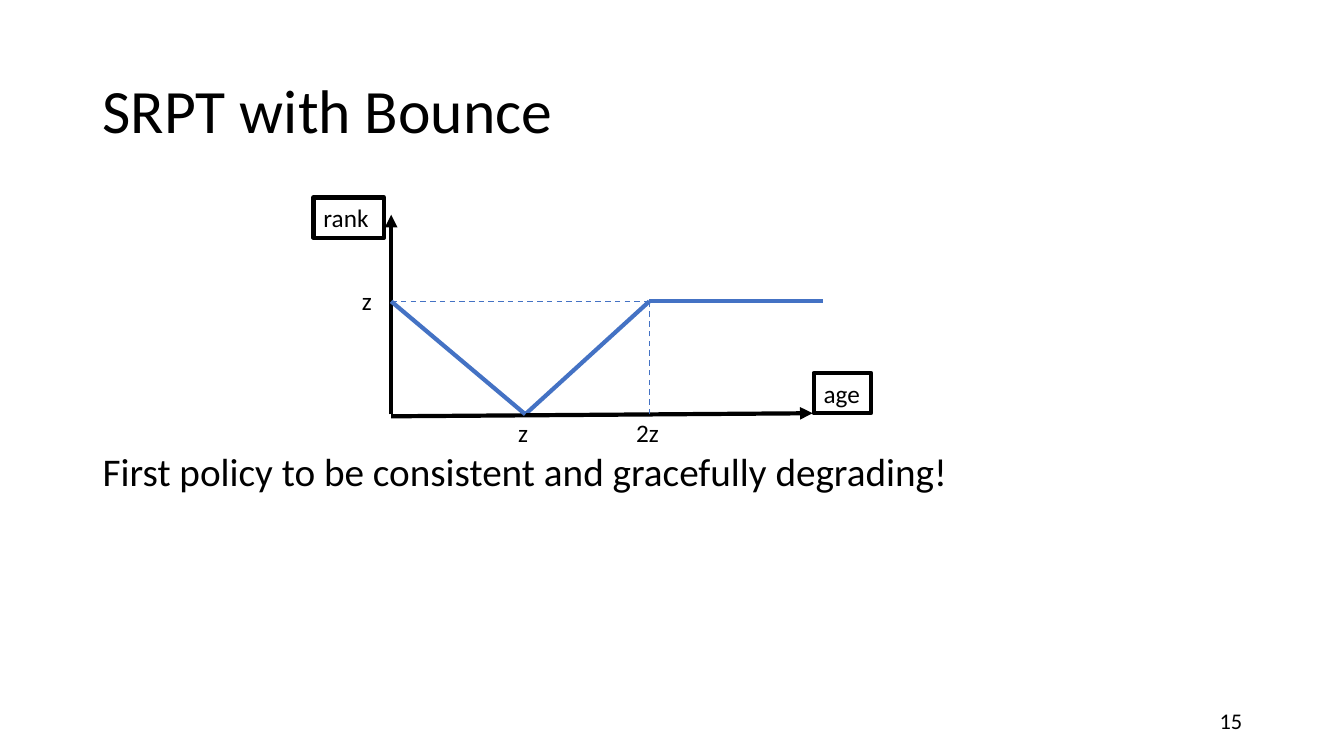
from dataclasses import dataclass

from lxml.etree import SubElement
from pptx import Presentation
from pptx.dml.color import RGBColor
from pptx.enum.dml import MSO_LINE
from pptx.enum.shapes import MSO_CONNECTOR, MSO_SHAPE
from pptx.enum.text import MSO_ANCHOR, PP_ALIGN
from pptx.oxml.ns import qn
from pptx.slide import Slide
from pptx.util import Inches, Pt

COLOURS = {"ink": "000000", "curve": "4472C4"}
FONT = "Calibri"

# Chart positions in inches
AXIS_X = 3.88
BASE_Y = 4.11
RANK_Z_Y = 2.99
AGE_Z_X = 5.21
AGE_2Z_X = 6.44


@dataclass
class Segment:
    start: tuple[float, float]
    end: tuple[float, float]
    colour: str = "curve"
    width: float = 3
    dashed: bool = False
    arrow: bool = False


@dataclass
class Label:
    text: str
    left: float
    top: float
    width: float
    height: float = 0.4
    framed: bool = False


SEGMENTS = [
    Segment((AGE_2Z_X, RANK_Z_Y), (AGE_Z_X, BASE_Y)),
    Segment((AXIS_X, 4.13), (8.06, 4.1), "ink", arrow=True),
    Segment((AXIS_X, BASE_Y), (AXIS_X, 2.13), "ink", arrow=True),
    Segment((AXIS_X, RANK_Z_Y), (AGE_Z_X, BASE_Y)),
    Segment((AXIS_X, RANK_Z_Y), (AGE_2Z_X, RANK_Z_Y), width=1, dashed=True),
    Segment((AGE_2Z_X, BASE_Y), (AGE_2Z_X, RANK_Z_Y), width=1, dashed=True),
    Segment((8.16, RANK_Z_Y), (AGE_2Z_X, RANK_Z_Y)),
]

LABELS = [
    Label("z", 3.49, 2.78, 0.33),
    Label("z", 5.04, 4.09, 0.33),
    Label("2z", 6.21, 4.09, 0.51),
    Label("rank", 3.11, 1.96, 0.7, framed=True),
    Label("age", 8.07, 3.7, 0.57, framed=True),
]


def colour_of(name: str) -> RGBColor:
    return RGBColor.from_string(COLOURS[name])


def add_text(page: Slide, text: str, left: float, top: float, width: float,
             height: float, *, size: float = 18, framed: bool = False,
             anchor: MSO_ANCHOR = MSO_ANCHOR.TOP,
             align: PP_ALIGN = PP_ALIGN.LEFT, spacing: float = 1.0) -> None:
    """Add one paragraph, in an outlined rectangle when framed."""
    area = [Inches(value) for value in (left, top, width, height)]
    if framed:
        box = page.shapes.add_shape(MSO_SHAPE.RECTANGLE, *area)
        box.shadow.inherit = False
        box.fill.background()
        box.line.color.rgb = colour_of("ink")
        box.line.width = Pt(3)
    else:
        box = page.shapes.add_textbox(*area)
    frame = box.text_frame
    frame.word_wrap = True
    frame.vertical_anchor = anchor
    para = frame.paragraphs[0]
    para.alignment = align
    para.line_spacing = spacing
    span = para.add_run()
    span.text = text
    span.font.name = FONT
    span.font.size = Pt(size)
    span.font.color.rgb = colour_of("ink")


def add_segment(page: Slide, segment: Segment) -> None:
    ends = [Inches(value) for value in (*segment.start, *segment.end)]
    connector = page.shapes.add_connector(MSO_CONNECTOR.STRAIGHT, *ends)
    line = connector.line
    line.color.rgb = colour_of(segment.colour)
    line.width = Pt(segment.width)
    if segment.dashed:
        line.dash_style = MSO_LINE.DASH
    properties = connector._element.spPr
    if segment.arrow:
        SubElement(properties.find(qn("a:ln")), qn("a:tailEnd"), type="triangle")
    SubElement(properties, qn("a:effectLst"))


def main() -> None:
    deck = Presentation()
    deck.slide_width = Inches(13.33)
    deck.slide_height = Inches(7.5)
    page = deck.slides.add_slide(deck.slide_layouts[6])

    add_text(page, "SRPT with Bounce", 0.92, 0.4, 11.5, 1.45,
             size=44, anchor=MSO_ANCHOR.MIDDLE, spacing=0.9)
    add_text(page, "First policy to be consistent and gracefully degrading!",
             0.92, 4.44, 11.5, 2.32, size=28, spacing=0.9)
    add_text(page, "15", 9.42, 6.95, 3, 0.4,
             size=16, anchor=MSO_ANCHOR.MIDDLE, align=PP_ALIGN.RIGHT)

    for label in LABELS:
        add_text(page, label.text, label.left, label.top, label.width,
                 label.height, framed=label.framed)
    for segment in SEGMENTS:
        add_segment(page, segment)

    deck.save("out.pptx")


if __name__ == "__main__":
    main()
